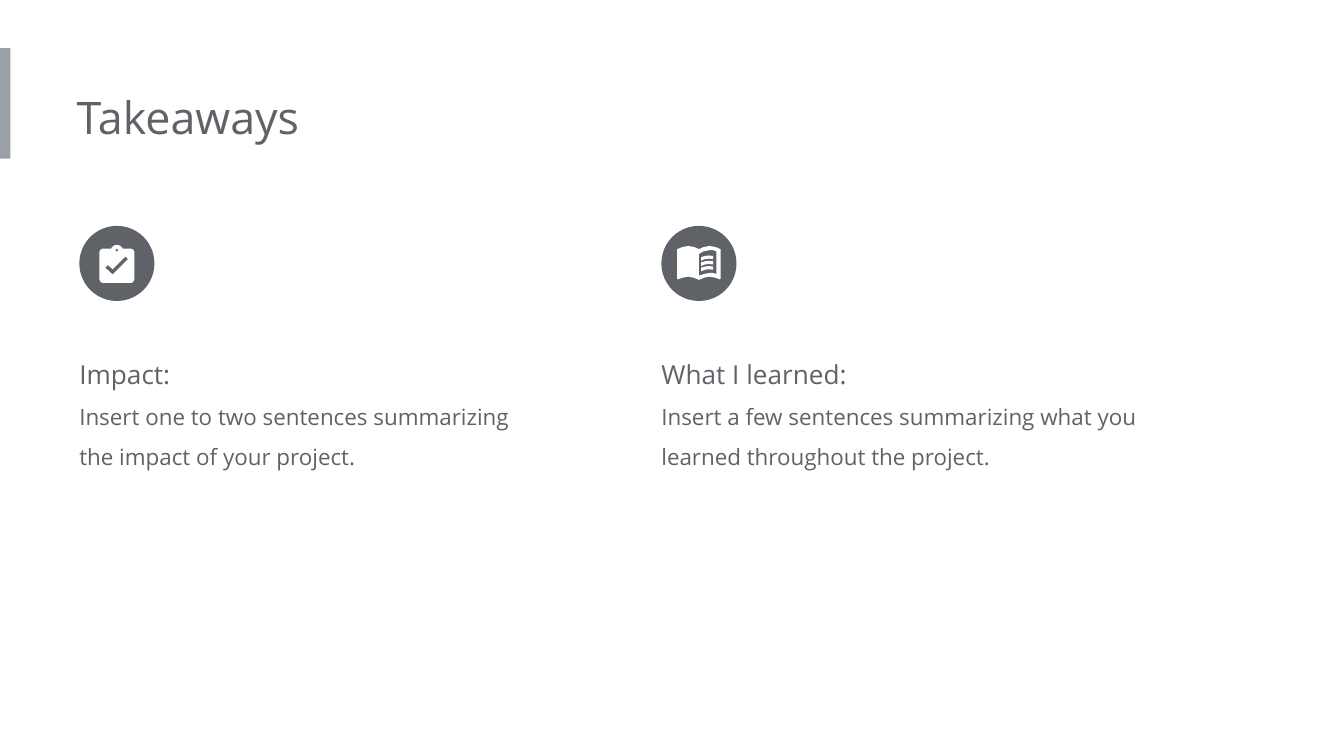
from dataclasses import dataclass

from pptx import Presentation
from pptx.dml.color import RGBColor
from pptx.enum import shapes, text
from pptx.util import Cm, Pt

Points = list[tuple[int, int]]


@dataclass(frozen=True)
class Theme:
    font: str = "Open Sans"
    ink: str = "5F6368"
    accent: str = "9AA0A6"
    paper: str = "FFFFFF"
    title: int = 24
    head: int = 14
    body: int = 12


@dataclass(frozen=True)
class Topic:
    left: float
    head: str
    lines: list[str]
    icon: list[list[Points]]  # outlines, each a list of contours


THEME = Theme()
BADGE = 1.42
BADGE_TOP = 4.27
TEXT_TOP = 6.22
UNIT = Cm(0.01)  # icon points count from the badge's top left corner


def mirror(half: Points) -> Points:
    """Close a right half into a shape symmetric about the badge centre."""
    width = round(BADGE * 100)
    return half + [(width - x, y) for x, y in reversed(half)]


def shift(points: Points, down: int) -> Points:
    return [(x, y + down) for x, y in points]


BOARD = mirror([(71, 36), (76, 37), (80, 40), (82, 43), (98, 43), (102, 45),
                (104, 49), (104, 101), (102, 106), (98, 108)])
PIN = [(71, 43), (74, 46), (71, 49), (68, 46)]
CHECK = [(63, 92), (49, 79), (54, 74), (63, 82), (87, 58), (92, 63)]

COVER = mirror([(71, 44), (80, 40), (91, 38), (102, 40), (112, 44),
                (112, 100), (110, 101), (102, 98), (91, 96), (81, 98),
                (71, 102)])
PAGE = [(71, 53), (80, 48), (91, 46), (98, 46), (104, 48), (104, 91),
        (98, 89), (91, 89), (81, 91), (71, 94)]
ROW = [(75, 59), (82, 57), (90, 56), (98, 57),
       (98, 63), (90, 62), (82, 63), (75, 66)]

TOPICS = [
    Topic(1.5, "Impact:",
          ["Insert one to two sentences summarizing ",
           "the impact of your project."],
          [[BOARD, PIN, CHECK]]),
    Topic(12.5, "What I learned:",
          ["Insert a few sentences summarizing what you "
           "learned throughout the project."],
          [[COVER, PAGE]] + [[shift(ROW, 10 * i)] for i in range(3)]),
]


def paint(shape, color: str) -> None:
    shape.shadow.inherit = False
    shape.fill.solid()
    shape.fill.fore_color.rgb = RGBColor.from_string(color)
    shape.line.fill.background()


def add_run(para, words: str, size: int) -> None:
    run = para.add_run()
    run.text = words
    run.font.name = THEME.font
    run.font.size = Pt(size)
    run.font.color.rgb = RGBColor.from_string(THEME.ink)


def add_box(slide, left: float, top: float, width: float, height: float):
    box = slide.shapes.add_textbox(Cm(left), Cm(top), Cm(width), Cm(height))
    frame = box.text_frame
    frame.word_wrap = True
    frame.auto_size = text.MSO_AUTO_SIZE.SHAPE_TO_FIT_TEXT
    frame.margin_left = 0
    frame.margin_top = frame.margin_right = frame.margin_bottom = Cm(0.25)
    return frame


def draw_icon(slide, topic: Topic) -> None:
    group = slide.shapes.add_group_shape()
    for first, *holes in topic.icon:
        pen = group.shapes.build_freeform(*first[0], scale=UNIT)
        pen.add_line_segments(first[1:], close=True)
        for hole in holes:
            pen.move_to(*hole[0])
            pen.add_line_segments(hole[1:], close=True)
        paint(pen.convert_to_shape(Cm(topic.left), Cm(BADGE_TOP)), THEME.paper)


def draw_topic(slide, topic: Topic) -> None:
    badge = slide.shapes.add_shape(
        shapes.MSO_SHAPE.OVAL, Cm(topic.left), Cm(BADGE_TOP),
        Cm(BADGE), Cm(BADGE))
    paint(badge, THEME.ink)
    draw_icon(slide, topic)

    frame = add_box(slide, topic.left, TEXT_TOP, 9.58, 2.9)
    head, body = frame.paragraphs[0], frame.add_paragraph()
    head.line_spacing = body.line_spacing = 1.5
    add_run(head, topic.head, THEME.head)
    for i, line in enumerate(topic.lines):
        if i:
            body.add_line_break()
        add_run(body, line, THEME.body)


def main() -> None:
    deck = Presentation()
    deck.slide_width, deck.slide_height = Cm(25.4), Cm(14.29)
    slide = deck.slides.add_slide(deck.slide_layouts[6])

    bar = slide.shapes.add_shape(
        shapes.MSO_SHAPE.RECTANGLE, 0, Cm(0.91), Cm(0.2), Cm(2.09))
    paint(bar, THEME.accent)
    title = add_box(slide, 1.45, 1.45, 13.7, 1.55)
    add_run(title.paragraphs[0], "Takeaways", THEME.title)
    for topic in TOPICS:
        draw_topic(slide, topic)
    deck.save("out.pptx")


if __name__ == "__main__":
    main()
